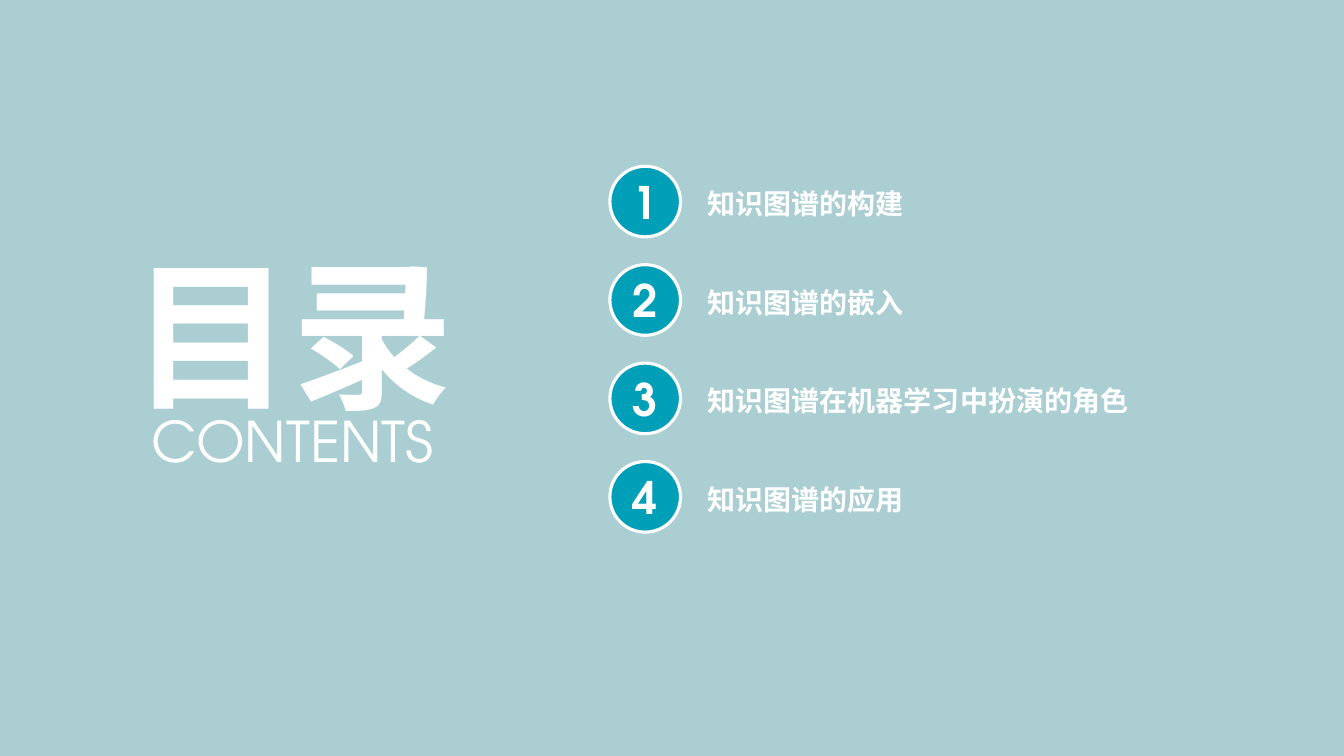
import pptx
import pptx.util
import pptx.dml.color
import pptx.enum.lang
import pptx.enum.shapes
import pptx.enum.text
import pptx.oxml.ns
import lxml.etree

Cm, Pt = pptx.util.Cm, pptx.util.Pt
ALIGN = pptx.enum.text.PP_ALIGN
ANCHOR = pptx.enum.text.MSO_ANCHOR

COLORS = {"background": "AACED2", "badge": "009FB8", "text": "FFFFFF"}
LATIN, CHINESE, LIST_FONT = "TeX Gyre Adventor", "Noto Sans CJK SC", "Calibri"
CHAPTERS = ["知识图谱的构建", "知识图谱的嵌入", "知识图谱在机器学习中扮演的角色", "知识图谱的应用"]


def rgb(name):
    """Return the named colour."""
    return pptx.dml.color.RGBColor.from_string(COLORS[name])


def style(p, font, size, bold, align=ALIGN.LEFT):
    """Format a paragraph, for Latin and East Asian text alike."""
    p.alignment = align
    p.font.name, p.font.size, p.font.bold = font, Pt(size), bold
    p.font.color.rgb = rgb("text")
    defaults = p._p.pPr.find(pptx.oxml.ns.qn("a:defRPr"))
    ea = lxml.etree.SubElement(defaults, pptx.oxml.ns.qn("a:ea"))
    ea.set("typeface", font)


def place(sp, x, y, w, h):
    """Move a placeholder to a box and anchor its text at the top."""
    sp.left, sp.top, sp.width, sp.height = x, y, w, h
    tf = sp.text_frame
    tf.auto_size = pptx.enum.text.MSO_AUTO_SIZE.NONE
    tf.vertical_anchor = ANCHOR.TOP
    return tf


def add_heading(s, x, y, w, h):
    """Fill the box with the large title and its English line below."""
    tf = place(s.shapes.title, x, y, w, Cm(5.18))
    tf.word_wrap = False
    p = tf.paragraphs[0]
    p.text = "目录"
    style(p, CHINESE, 115, True, ALIGN.CENTER)
    p.font.language_id = pptx.enum.lang.MSO_LANGUAGE_ID.SIMPLIFIED_CHINESE
    p.line_spacing = Pt(147)

    sub_h = Cm(1.96)
    tf = s.shapes.add_textbox(x, y + h - sub_h, w, sub_h).text_frame
    tf.word_wrap = False
    p = tf.paragraphs[0]
    p.text = "CONTENTS"
    style(p, LATIN, 40, False, ALIGN.CENTER)


def add_badge(s, number, x, y, size):
    """Add a numbered circle."""
    sp = s.shapes.add_shape(pptx.enum.shapes.MSO_SHAPE.OVAL, x, y, size, size)
    sp.shadow.inherit = False
    sp.fill.solid()
    sp.fill.fore_color.rgb = rgb("badge")
    sp.line.color.rgb = rgb("text")
    sp.line.width = Pt(2.25)
    tf = sp.text_frame
    tf.vertical_anchor = ANCHOR.MIDDLE
    p = tf.paragraphs[0]
    p.text = str(number)
    style(p, LATIN, 32, True, ALIGN.CENTER)


def add_chapters(s, x, y, w, h):
    """Fill the box with the chapter list and a badge beside each entry."""
    size, line = Cm(1.78), Pt(24.4)
    step = (h - size) // (len(CHAPTERS) - 1)
    indent, drop = Cm(2.21), Cm(0.38)
    tf = place(s.placeholders[1], x + indent, y + drop, w - indent, h - drop)
    tf.word_wrap = True
    for i, chapter in enumerate(CHAPTERS):
        p = tf.paragraphs[0] if i == 0 else tf.add_paragraph()
        p.text = chapter
        style(p, LIST_FONT, 20, True)
        p.font.language_id = pptx.enum.lang.MSO_LANGUAGE_ID.SIMPLIFIED_CHINESE
        p.line_spacing, p.space_before = line, Pt(0)
        p.space_after = pptx.util.Emu(step - line)
        pPr = p._p.pPr
        pPr.set("marL", "0")
        pPr.set("indent", "0")
        bullet = lxml.etree.Element(pptx.oxml.ns.qn("a:buNone"))
        pPr.find(pptx.oxml.ns.qn("a:defRPr")).addprevious(bullet)
        add_badge(s, i + 1, x, y + i * step, size)


def build_contents(prs):
    """Add the contents slide."""
    s = prs.slides.add_slide(prs.slide_layouts[1])
    s.background.fill.solid()
    s.background.fill.fore_color.rgb = rgb("background")
    add_heading(s, Cm(3.02), Cm(5.49), Cm(8.71), Cm(6.58))
    add_chapters(s, Cm(15.37), Cm(4.19), Cm(13.7), Cm(9.22))


prs = pptx.Presentation()
prs.slide_width, prs.slide_height = Cm(33.87), Cm(19.05)
build_contents(prs)
prs.save("out.pptx")
